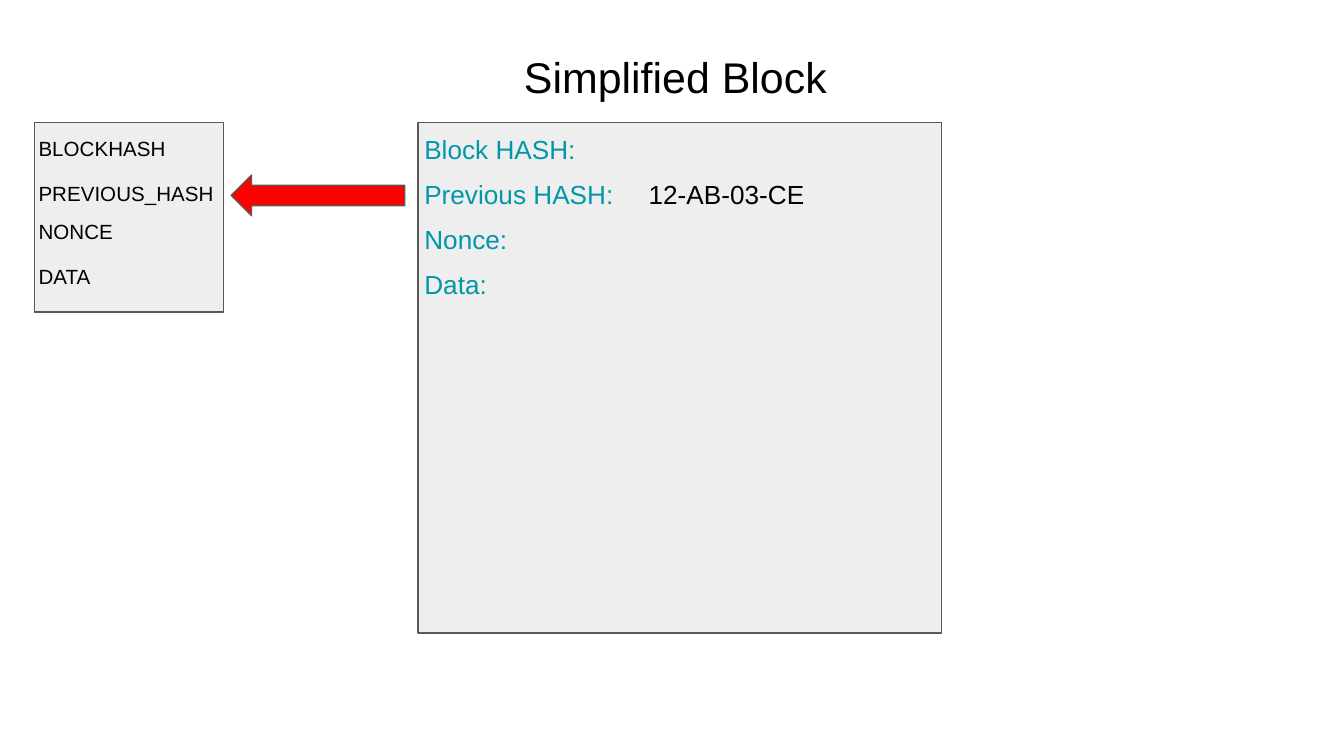
"""Build a slide that shows a simplified block pointing at its previous one."""
from pptx import Presentation
from pptx.dml.color import RGBColor
from pptx.enum.shapes import MSO_SHAPE
from pptx.enum.text import MSO_AUTO_SIZE, PP_ALIGN
from pptx.util import Cm, Pt

BLACK = RGBColor(0x00, 0x00, 0x00)
TEAL = RGBColor(0x00, 0x97, 0xA7)
GREY = RGBColor(0xEE, 0xEE, 0xEE)
EDGE = RGBColor(0x59, 0x59, 0x59)
RED = RGBColor(0xFF, 0x00, 0x00)


class Board:
    def __init__(self, slide, font="Arial", inset=0.25):
        self.slide = slide
        self.font = font
        self.inset = Cm(inset)

    def group(self):
        return self.slide.shapes.add_group_shape().shapes

    def shape(self, kind, left, top, width, height, fill, home=None):
        home = home or self.slide.shapes
        item = home.add_shape(kind, Cm(left), Cm(top), Cm(width), Cm(height))
        item.shadow.inherit = False
        item.fill.solid()
        item.fill.fore_color.rgb = fill
        item.line.color.rgb = EDGE
        item.line.width = Pt(0.75)

    def label(self, text, left, top, width, height, size,
              color=BLACK, align=PP_ALIGN.LEFT, home=None):
        home = home or self.slide.shapes
        box = home.add_textbox(Cm(left), Cm(top), Cm(width), Cm(height))
        frame = box.text_frame
        frame.word_wrap = True
        frame.auto_size = MSO_AUTO_SIZE.SHAPE_TO_FIT_TEXT
        frame.margin_left = frame.margin_right = self.inset
        frame.margin_top = frame.margin_bottom = self.inset
        line = frame.paragraphs[0]
        line.text = text
        line.alignment = align
        line.font.name = self.font
        line.font.size = Pt(size)
        line.font.color.rgb = color


def main():
    deck = Presentation()
    deck.slide_width, deck.slide_height = Cm(25.4), Cm(14.29)
    board = Board(deck.slides.add_slide(deck.slide_layouts[6]))

    board.shape(MSO_SHAPE.RECTANGLE, 7.9, 2.32, 9.9, 9.65, GREY)
    fields = ["Block HASH:", "Previous HASH:", "Nonce:", "Data:"]
    for row, text in enumerate(fields):
        board.label(text, 7.77, 2.28 + 0.85 * row, 7.67, 1.12, 14, TEAL)
    board.label("Simplified Block", 7.77, 0.71, 10, 1.5, 23,
                align=PP_ALIGN.CENTER)
    board.label("12-AB-03-CE", 12.01, 3.13, 7.67, 1.12, 14)
    board.shape(MSO_SHAPE.LEFT_ARROW, 4.37, 3.31, 3.28, 0.77, RED)

    prior = board.group()
    board.shape(MSO_SHAPE.RECTANGLE, 0.65, 2.32, 3.58, 3.58, GREY, prior)
    names = [("BLOCKHASH", 2.34), ("PREVIOUS_HASH", 3.18),
             ("NONCE", 3.91), ("DATA", 4.75)]
    for text, top in names:
        board.label(text, 0.48, top, 4.24, 0.99, 11, home=prior)

    deck.save("out.pptx")


if __name__ == "__main__":
    main()
